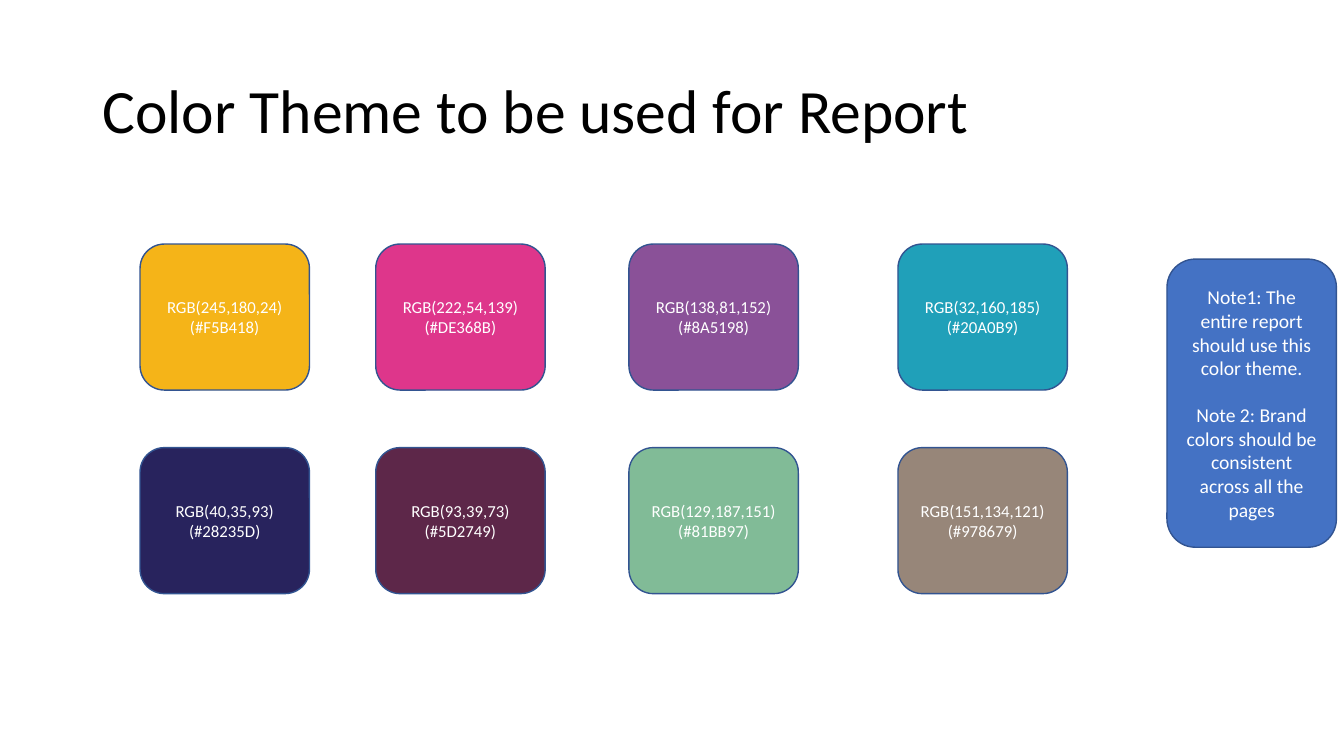
from pptx import Presentation
from pptx.dml.color import RGBColor
from pptx.enum.shapes import MSO_SHAPE as Shape
from pptx.enum.text import MSO_ANCHOR as Anchor, PP_ALIGN as Align
from pptx.util import Cm, Pt

SWATCH_WIDTH, SWATCH_HEIGHT = 4.27, 3.68
COLUMN_LEFTS = [3.53, 9.47, 15.85, 22.63]
ROW_TOPS = [6.15, 11.28]
THEME_COLORS = [
    ["F5B418", "DE368B", "8A5198", "20A0B9"],
    ["28235D", "5D2749", "81BB97", "978679"],
]
NOTES = [
    "Note1: The entire report should use this color theme.",
    "Note 2: Brand colors should be consistent across all the pages",
]


def color(hex_code):
    return RGBColor.from_string(hex_code)


class ThemeSlide:
    font_name = "Calibri"
    outline = "325491"

    def __init__(self, presentation):
        self.slide = presentation.slides.add_slide(presentation.slide_layouts[5])

    def format_paragraph(self, paragraph, size, hex_code, align):
        paragraph.alignment = align
        paragraph.font.name = self.font_name
        paragraph.font.size = Pt(size)
        paragraph.font.color.rgb = color(hex_code)

    def title(self, text, left, top, width, height):
        shape = self.slide.shapes.title
        shape.left, shape.top = Cm(left), Cm(top)
        shape.width, shape.height = Cm(width), Cm(height)
        frame = shape.text_frame
        frame.text = text
        frame.vertical_anchor = Anchor.MIDDLE
        paragraph = frame.paragraphs[0]
        paragraph.line_spacing = 0.9
        self.format_paragraph(paragraph, 44, "000000", Align.LEFT)

    def rounded_box(self, lines, left, top, width, height, fill, size, gap=0):
        shape = self.slide.shapes.add_shape(
            Shape.ROUNDED_RECTANGLE, Cm(left), Cm(top), Cm(width), Cm(height))
        shape.shadow.inherit = False
        shape.fill.solid()
        shape.fill.fore_color.rgb = color(fill)
        shape.line.color.rgb = color(self.outline)
        shape.line.width = Pt(1)
        frame = shape.text_frame
        frame.word_wrap = True
        frame.vertical_anchor = Anchor.MIDDLE
        frame.text = "\n".join(lines)
        for paragraph in frame.paragraphs:
            self.format_paragraph(paragraph, size, "FFFFFF", Align.CENTER)
        for paragraph in frame.paragraphs[1:]:
            paragraph.space_before = Pt(gap)

    def swatch(self, hex_code, left, top):
        red, green, blue = color(hex_code)
        lines = [f"RGB({red},{green},{blue})", f"(#{hex_code})"]
        self.rounded_box(lines, left, top, SWATCH_WIDTH, SWATCH_HEIGHT, hex_code, 12)


def main():
    presentation = Presentation()
    presentation.slide_width, presentation.slide_height = Cm(33.87), Cm(19.05)
    theme = ThemeSlide(presentation)

    # Title
    theme.title("Color Theme to be used for Report", 2.33, 1.02, 29.21, 3.68)

    # Grid of theme colors
    for top, row in zip(ROW_TOPS, THEME_COLORS):
        for left, hex_code in zip(COLUMN_LEFTS, row):
            theme.swatch(hex_code, left, top)

    # Notes
    theme.rounded_box(NOTES, 29.41, 6.53, SWATCH_WIDTH, 7.26, "4472C4", 14, gap=17)

    presentation.save("out.pptx")


if __name__ == "__main__":
    main()
